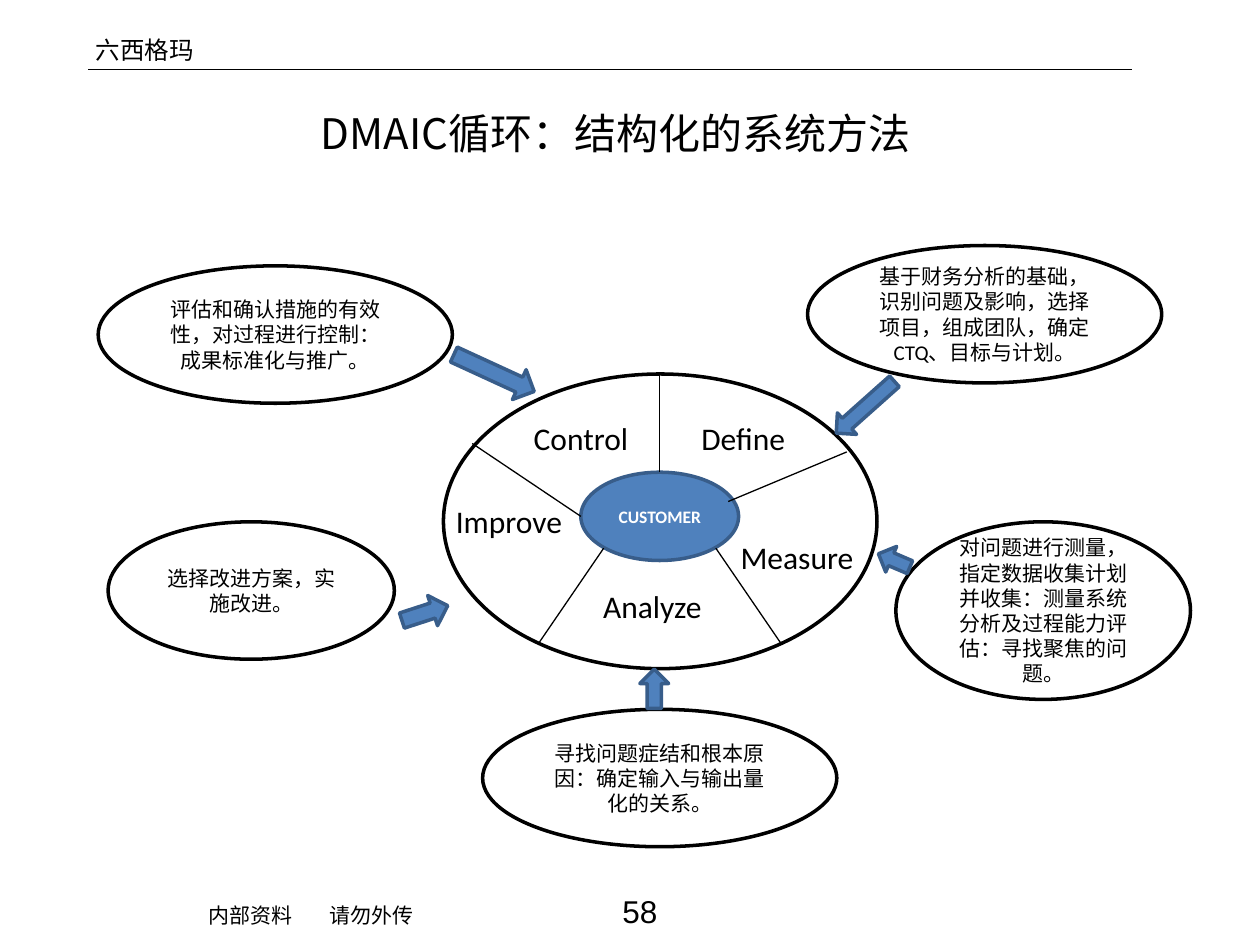
from lxml import etree
from pptx import Presentation
from pptx import util as u
from pptx.dml.color import RGBColor
from pptx.enum import shapes, text
from pptx.oxml.ns import qn

BLACK, WHITE, BLUE, NAVY = "000000", "FFFFFF", "4F81BD", "385D8A"
CJK = "Noto Sans CJK SC"
SHAPE = shapes.MSO_SHAPE
LEFT, CENTER = text.PP_ALIGN.LEFT, text.PP_ALIGN.CENTER


def color(value):
    return RGBColor.from_string(value)


def cm(*lengths):
    return [u.Cm(length) for length in lengths]


def write(shape, words, size, font="Calibri", ink=BLACK, align=CENTER, bold=False):
    frame = shape.text_frame
    frame.word_wrap = True
    frame.text = words
    para = frame.paragraphs[0]
    para.alignment = align
    span = para.runs[0]
    span.font.size = u.Pt(size)
    span.font.name = font
    span.font.bold = bold
    span.font.color.rgb = color(ink)
    east_asian = etree.SubElement(span.font._element, qn("a:ea"))
    east_asian.set("typeface", CJK)
    return para


def add_text(page, box, words, size, **style):
    return write(page.shapes.add_textbox(*cm(*box)), words, size, **style)


def add_figure(page, kind, box, fill, line=None):
    shape = page.shapes.add_shape(kind, *cm(*box))
    shape.shadow.inherit = False
    shape.fill.solid()
    shape.fill.fore_color.rgb = color(fill)
    if line:
        shape.line.color.rgb = color(line)
        shape.line.width = u.Pt(2)
    else:
        shape.line.fill.background()
    shape.text_frame.vertical_anchor = text.MSO_ANCHOR.MIDDLE
    return shape


def add_line(page, start, end):
    line = page.shapes.add_connector(
        shapes.MSO_CONNECTOR.STRAIGHT, *cm(*start), *cm(*end))
    line.line.color.rgb = color(BLACK)
    line.line.width = u.Pt(0.75)
    etree.SubElement(line._element.spPr, qn("a:effectLst"))


def add_header(page, left, top, width):
    add_line(page, (left, top), (left + width, top))
    add_text(page, (left - 0.1, top - 0.82, 3, 0.86), "六西格玛", 14, align=LEFT)
    title = add_figure(page, SHAPE.RECTANGLE, (left + 3.99, top + 0.58, 13.28, 1.4), WHITE)
    write(title, "DMAIC循环：结构化的系统方法", 24, font=CJK)


def add_footer(page, left, top):
    note = add_text(page, (left, top + 0.2, 9.12, 1.27), "内部资料\t请勿外传", 12,
                    font="Arial", align=LEFT)
    stops = etree.SubElement(note._p.get_or_add_pPr(), qn("a:tabLst"))
    etree.SubElement(stops, qn("a:tab"), pos=str(u.Cm(2.44)), algn="l")
    add_text(page, (left + 4.98, top, 7.92, 1.02), "58", 18, font="Arial")


def add_wheel(page, left, top, width, height):
    add_figure(page, SHAPE.OVAL, (left, top, width, height), WHITE, BLACK)

    # Customer hub
    hub = add_figure(page, SHAPE.OVAL, (left + 2.77, top + 1.98, 3.18, 1.78), BLUE, NAVY)
    hub.text_frame.margin_left = hub.text_frame.margin_right = 0
    write(hub, "CUSTOMER", 10, ink=WHITE, bold=True)

    # Spokes between the phases
    spokes = [
        (4.36, 0, 4.36, 1.98),
        (5.74, 2.57, 8.13, 1.57),
        (5.49, 3.51, 6.81, 5.44),
        (3.23, 3.51, 1.91, 5.44),
        (0.58, 1.4, 2.77, 2.87),
    ]
    for x1, y1, x2, y2 in spokes:
        add_line(page, (left + x1, top + y1), (left + x2, top + y2))

    # Phase names
    phases = [
        ("Define", 4.95, 0.79),
        ("Measure", 5.74, 3.18),
        ("Analyze", 2.97, 4.17),
        ("Improve", 0, 2.46),
        ("Control", 1.57, 0.79),
    ]
    for name, x, y in phases:
        add_text(page, (left + x, top + y, 3.18, 1.02), name, 18, align=LEFT)


def add_callout(page, box, words, kind, arrow_box, turn):
    """Places an oval note and its arrow, the arrow measured from the oval."""
    write(add_figure(page, SHAPE.OVAL, box, WHITE, BLACK), words, 12)
    x, y, width, height = arrow_box
    arrow = add_figure(page, kind, (box[0] + x, box[1] + y, width, height), BLUE, NAVY)
    arrow.rotation = turn


def main():
    deck = Presentation()
    deck.slide_width, deck.slide_height = cm(25.4, 19.05)
    page = deck.slides.add_slide(deck.slide_layouts[6])

    add_header(page, 1.78, 1.4, 21.03)
    add_footer(page, 3.96, 17.86)
    add_wheel(page, 8.94, 7.54, 8.74, 5.94)

    # Notes around the wheel
    callouts = [
        ((16.28, 4.95, 7.14, 2.77),
         "基于财务分析的基础，识别问题及影响，选择项目，组成团队，确定CTQ、目标与计划。",
         SHAPE.LEFT_ARROW, (0.38, 2.97, 1.57, 0.58), 318.3),
        ((1.98, 5.36, 7.14, 2.77),
         "评估和确认措施的有效性，对过程进行控制：成果标准化与推广。",
         SHAPE.RIGHT_ARROW, (7.09, 1.83, 1.78, 0.66), 24.7),
        ((18.06, 10.52, 5.94, 3.58),
         "对问题进行测量，指定数据收集计划并收集：测量系统分析及过程能力评估：寻找聚焦的问题。",
         SHAPE.LEFT_ARROW, (-0.38, 0.5, 0.69, 0.56), 23.1),
        ((9.73, 14.3, 7.14, 2.77),
         "寻找问题症结和根本原因：确定输入与输出量化的关系。",
         SHAPE.UP_ARROW, (3.17, -0.81, 0.58, 0.79), 0),
        ((2.18, 10.52, 5.77, 2.77),
         "选择改进方案，实施改进。",
         SHAPE.RIGHT_ARROW, (5.9, 1.52, 0.97, 0.64), 342),
    ]
    for callout in callouts:
        add_callout(page, *callout)

    deck.save("out.pptx")


if __name__ == "__main__":
    main()
